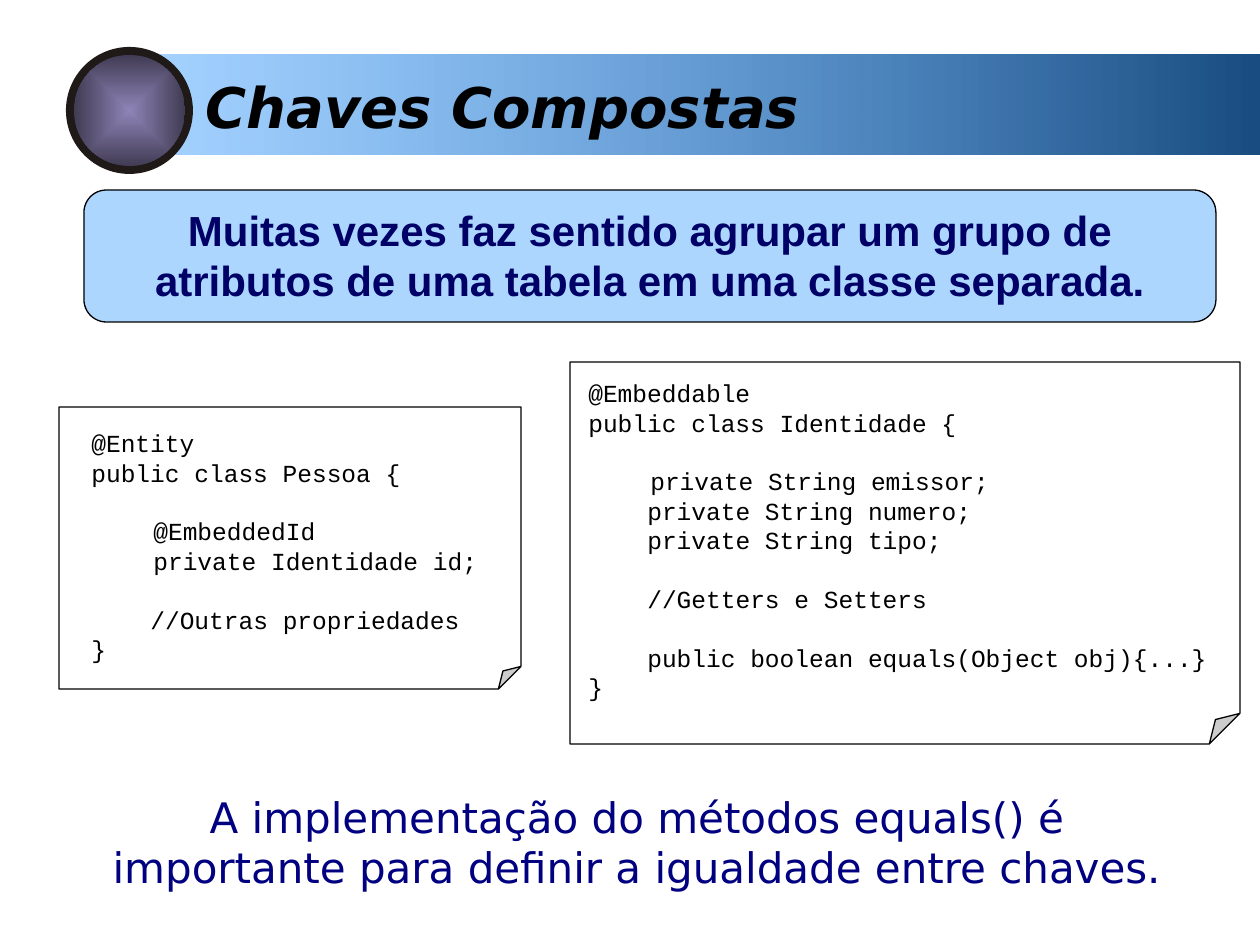
from dataclasses import dataclass
from typing import NamedTuple

from lxml.etree import SubElement
from pptx import Presentation
from pptx.dml.color import RGBColor as Rgb
from pptx.enum.shapes import MSO_SHAPE as Shape
from pptx.enum.text import MSO_ANCHOR as Anchor, MSO_AUTO_SIZE as AutoSize, PP_ALIGN as Align
from pptx.oxml.ns import qn
from pptx.util import Emu, Pt

PX_PER_INCH = 126


def px(length: int) -> Emu:
    return Emu(round(length * 914400 / PX_PER_INCH))


class Style(NamedTuple):
    font: str
    size: int
    color: str
    bold: bool = False
    italic: bool = False
    align: Align = Align.LEFT


@dataclass(frozen=True)
class Theme:
    # Colours
    sky: str = "3399FF"
    navy: str = "194D81"
    ring: str = "1F1A17"
    lilac: str = "8E84B7"
    plum: str = "413C54"
    paper: str = "FFFFFF"
    outline: str = "000000"
    outline_pt: float = 0.75
    line_height: float = 1.2
    # Type
    title: Style = Style("DejaVu Sans", 32, "000000", bold=True, italic=True)
    lead: Style = Style("Arial", 24, "000066", bold=True, align=Align.CENTER)
    code: Style = Style("Courier New", 14, "000000")
    closing: Style = Style("DejaVu Sans", 24, "000080", align=Align.CENTER)


THEME = Theme()
TAB = 62
SPACES = 59


class Box(NamedTuple):
    left: int
    top: int
    width: int
    height: int


class Line(NamedTuple):
    text: str
    indent: int = 0
    gap: int = 0  # empty line heights above


@dataclass(frozen=True)
class CodeNote:
    sheet: Box
    text_box: Box
    lines: tuple[Line, ...]


NOTES = (
    CodeNote(Box(59, 407, 462, 282), Box(79, 422, 442, 248), (
        Line("@Entity"),
        Line("public class Pessoa {"),
        Line("@EmbeddedId", TAB, 1),
        Line("private Identidade id;", TAB),
        Line("//Outras propriedades", SPACES, 1),
        Line("}"),
    )),
    CodeNote(Box(570, 362, 670, 382), Box(576, 372, 665, 336), (
        Line("@Embeddable"),
        Line("public class Identidade {"),
        Line("private String emissor;", TAB, 1),
        Line("private String numero;", SPACES),
        Line("private String tipo;", SPACES),
        Line("//Getters e Setters", SPACES, 1),
        Line("public boolean equals(Object obj){...}", SPACES, 1),
        Line("}"),
    )),
)


def add_shape(page, kind: Shape, box: Box, adjust: float | None = None):
    shape = page.shapes.add_shape(kind, *map(px, box))
    shape.shadow.inherit = False
    shape.line.fill.background()
    if adjust is not None:
        # Not every preset lists its adjustment, so write the guide directly
        guides = shape.element.spPr.find(qn("a:prstGeom")).get_or_add_avLst()
        for guide in list(guides):
            guides.remove(guide)
        SubElement(guides, qn("a:gd"), name="adj", fmla=f"val {round(adjust * 100000)}")
    return shape


def fill_solid(shape, color: str) -> None:
    shape.fill.solid()
    shape.fill.fore_color.rgb = Rgb.from_string(color)


def fill_gradient(shape, first: str, last: str) -> None:
    shape.fill.gradient()
    for stop, color in zip(shape.fill.gradient_stops, (first, last)):
        stop.color.rgb = Rgb.from_string(color)


def set_last_alpha(shape, percent: int) -> None:
    color = list(shape.element.spPr.iter(qn("a:srgbClr")))[-1]
    SubElement(color, qn("a:alpha"), val=str(percent * 1000))


def fill_from_center(shape, center: str, edge: str) -> None:
    fill_gradient(shape, center, edge)
    gradient = shape.element.spPr.find(qn("a:gradFill"))
    gradient.remove(gradient.find(qn("a:lin")))
    route = SubElement(gradient, qn("a:path"), {"path": "rect"})
    SubElement(route, qn("a:fillToRect"), dict.fromkeys("ltrb", "50000"))


def draw_outline(shape) -> None:
    shape.line.color.rgb = Rgb.from_string(THEME.outline)
    shape.line.width = Pt(THEME.outline_pt)


def add_text(page, box: Box, style: Style, *lines: Line) -> None:
    frame = page.shapes.add_textbox(*map(px, box)).text_frame
    frame.word_wrap = True
    frame.auto_size = AutoSize.SHAPE_TO_FIT_TEXT
    frame.vertical_anchor = Anchor.TOP
    pitch = style.size * THEME.line_height
    for index, line in enumerate(lines):
        para = frame.add_paragraph() if index else frame.paragraphs[0]
        para.text = line.text
        para.alignment = style.align
        para.line_spacing = Pt(pitch)
        if line.gap:
            para.space_before = Pt(line.gap * pitch)
        if line.indent:
            properties = para._p.get_or_add_pPr()
            properties.set("marL", str(px(line.indent)))
            properties.set("indent", "0")
        font = para.font
        font.name, font.size = style.font, Pt(style.size)
        font.bold, font.italic = style.bold, style.italic
        font.color.rgb = Rgb.from_string(style.color)


def add_header(page) -> None:
    banner = add_shape(page, Shape.RECTANGLE, Box(154, 55, 1106, 100))
    fill_gradient(banner, THEME.navy, THEME.sky)
    banner.fill.gradient_angle = 180
    set_last_alpha(banner, 44)
    add_text(page, Box(193, 66, 1067, 81), THEME.title, Line("Chaves Compostas"))

    ring = add_shape(page, Shape.DONUT, Box(66, 47, 127, 127), 0.12)
    fill_solid(ring, THEME.ring)
    disc = add_shape(page, Shape.OVAL, Box(74, 55, 111, 111))
    fill_from_center(disc, THEME.lilac, THEME.plum)


def add_lead(page) -> None:
    panel = add_shape(page, Shape.ROUNDED_RECTANGLE, Box(84, 190, 1132, 132), 0.17)
    fill_solid(panel, THEME.sky)
    set_last_alpha(panel, 40)
    draw_outline(panel)
    add_text(page, Box(96, 198, 1108, 113), THEME.lead, Line(
        "Muitas vezes faz sentido agrupar um grupo de atributos "
        "de uma tabela em uma classe separada."))


def add_code_note(page, note: CodeNote) -> None:
    sheet = add_shape(page, Shape.FOLDED_CORNER, note.sheet, 0.08)
    fill_solid(sheet, THEME.paper)
    draw_outline(sheet)
    add_text(page, note.text_box, THEME.code, *note.lines)


def main() -> None:
    deck = Presentation()
    deck.slide_width, deck.slide_height = px(1260), px(945)
    page = deck.slides.add_slide(deck.slide_layouts[6])

    add_header(page)
    add_lead(page)
    for note in NOTES:
        add_code_note(page, note)
    # Closing remark
    add_text(page, Box(79, 785, 1116, 113), THEME.closing, Line(
        "A implementação do métodos equals() é importante "
        "para definir a igualdade entre chaves."))

    deck.save("out.pptx")


if __name__ == "__main__":
    main()
